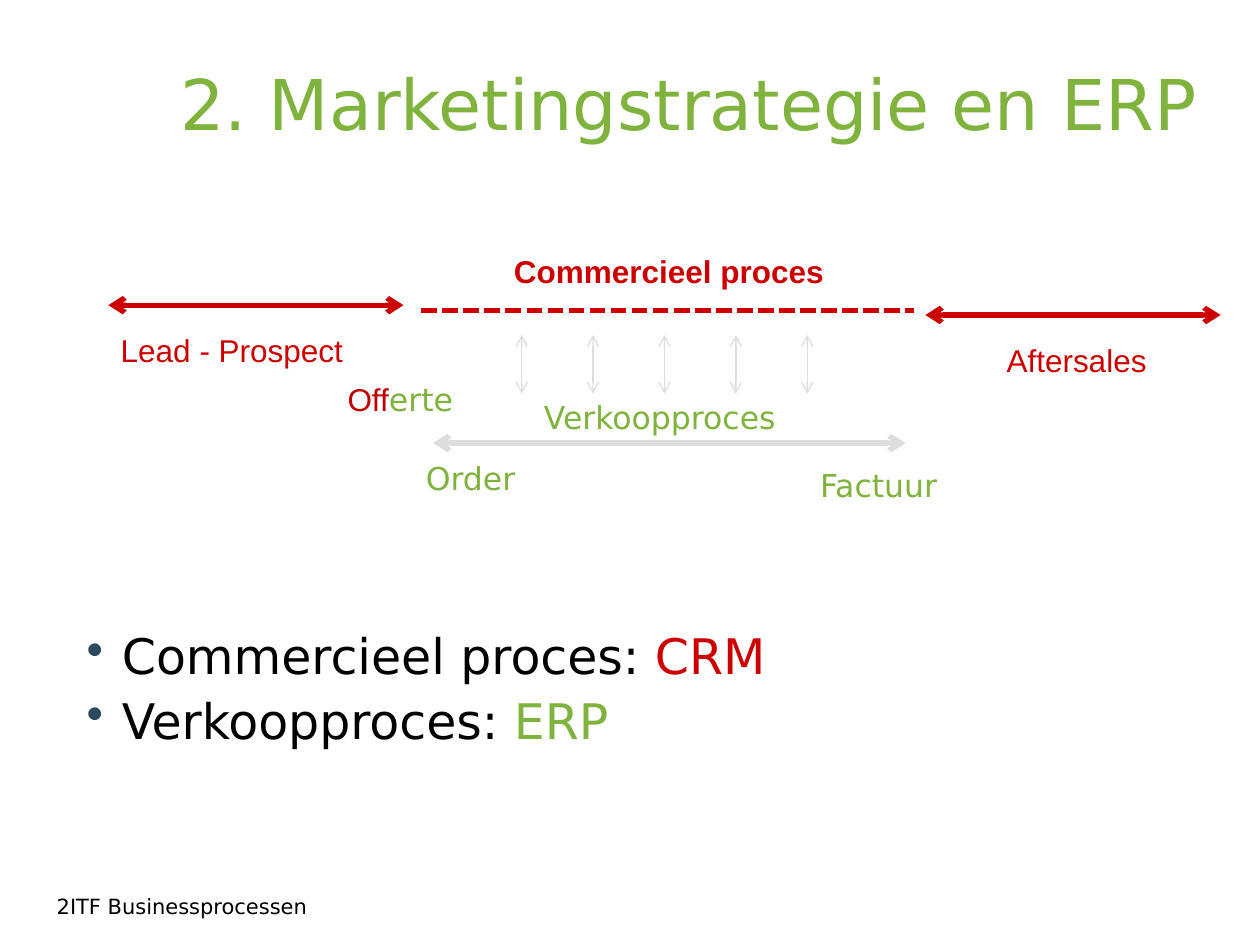
from lxml import etree
from pptx import Presentation
from pptx.dml.color import RGBColor
from pptx.enum.dml import MSO_LINE
from pptx.enum.shapes import MSO_CONNECTOR
from pptx.enum.text import MSO_ANCHOR
from pptx.oxml.ns import qn
from pptx.util import Pt

LINE = MSO_CONNECTOR.STRAIGHT
DASH = MSO_LINE.SQUARE_DOT
TOP = MSO_ANCHOR.TOP
MID = MSO_ANCHOR.MIDDLE

RED = RGBColor(0xCC, 0x00, 0x00)
DARK = RGBColor(0xC0, 0x00, 0x00)
GREEN = RGBColor(0x80, 0xB2, 0x3E)
GREY = RGBColor(0xDD, 0xDD, 0xDD)
BLACK = RGBColor(0x00, 0x00, 0x00)
DOT = "2B4A5E"

SANS = "DejaVu Sans"
ARIAL = "Arial"

LABELS = [
    (191.5, 213.8, 90, [("Off", DARK, ARIAL), ("erte", GREEN, SANS)]),
    (461.5, 262.8, 90, [("Factuur", GREEN, SANS)]),
    (303.8, 223.9, 208, [("Verkoopproces", GREEN, SANS)]),
    (61.9, 185.8, 180, [("Lead - Prospect", RED, ARIAL)]),
    (568.1, 191.5, 112.5, [("Aftersales", RED, ARIAL)]),
    (236.2, 258.5, 90, [("Order", GREEN, SANS)]),
]
POINTS = [
    [("Commercieel proces: ", BLACK, SANS), ("CRM", RED, SANS)],
    [("Verkoopproces: ", BLACK, SANS), ("ERP", GREEN, SANS)],
]


def style(item, form):
    for name, value in form.items():
        setattr(item, name, value)


def add_box(slide, left, top, width, height, anchor=TOP):
    box = slide.shapes.add_textbox(Pt(left), Pt(top), Pt(width), Pt(height))
    frame = box.text_frame
    style(frame, {"word_wrap": True, "vertical_anchor": anchor})
    return frame


def add_runs(para, runs, size, bold=False):
    for text, color, face in runs:
        run = para.add_run()
        run.text = text
        style(run.font, {"name": face, "size": Pt(size), "bold": bold})
        run.font.color.rgb = color


def add_label(slide, left, top, width, runs, size=18, bold=False):
    frame = add_box(slide, left, top, width, 29)
    add_runs(frame.paragraphs[0], runs, size, bold)


def add_bullet(para):
    props = para._p.get_or_add_pPr()
    props.set("marL", str(Pt(28.8)))
    props.set("indent", str(Pt(-20.2)))
    color = etree.SubElement(props, qn("a:buClr"))
    etree.SubElement(color, qn("a:srgbClr"), val=DOT)
    etree.SubElement(props, qn("a:buChar"), char="•")


def add_list(slide):
    frame = add_box(slide, 33.8, 354.2, 648, 152)
    for i, runs in enumerate(POINTS):
        para = frame.add_paragraph() if i else frame.paragraphs[0]
        para.space_before = Pt(3)
        add_bullet(para)
        add_runs(para, runs, 28)


def add_line(slide, start, end, color, width=3, dash=None):
    ends = [Pt(n) for n in (*start, *end)]
    link = slide.shapes.add_connector(LINE, *ends)
    link.line.color.rgb = color
    style(link.line, {"width": Pt(width), "dash_style": dash})
    if dash is None:
        edge = link.line._get_or_add_ln()
        for tag in ("a:headEnd", "a:tailEnd"):
            etree.SubElement(edge, qn(tag), type="arrow")
    etree.SubElement(link._element.spPr, qn("a:effectLst"))


def add_flow(slide):
    add_line(slide, (247.5, 253.2), (517.5, 253.2), GREY)
    add_line(slide, (61.9, 174.4), (230.6, 174.4), RED)
    add_line(slide, (528.8, 180), (697.5, 180), RED)
    add_line(slide, (240.8, 177.6), (522, 177.6), RED, dash=DASH)
    for i in range(5):
        x = 298.1 + 40.8 * i
        add_line(slide, (x, 191.5), (x, 225), GREY, 0.75)
    for label in LABELS:
        add_label(slide, *label)
    head = [("Commercieel proces", RED, ARIAL)]
    add_label(slide, 286.6, 140.6, 208, head, bold=True)


def main():
    deck = Presentation()
    style(deck, {"slide_width": Pt(720), "slide_height": Pt(540)})
    slide = deck.slides.add_slide(deck.slide_layouts[6])
    foot = [("2ITF Businessprocessen", BLACK, SANS)]
    add_label(slide, 25.3, 506.9, 394, foot, 12)
    add_list(slide)
    title = add_box(slide, 95.8, 16.6, 602, 84.2, MID)
    text = [("2. Marketingstrategie en ERP", GREEN, SANS)]
    add_runs(title.paragraphs[0], text, 40)
    add_flow(slide)
    deck.save("out.pptx")


if __name__ == "__main__":
    main()
